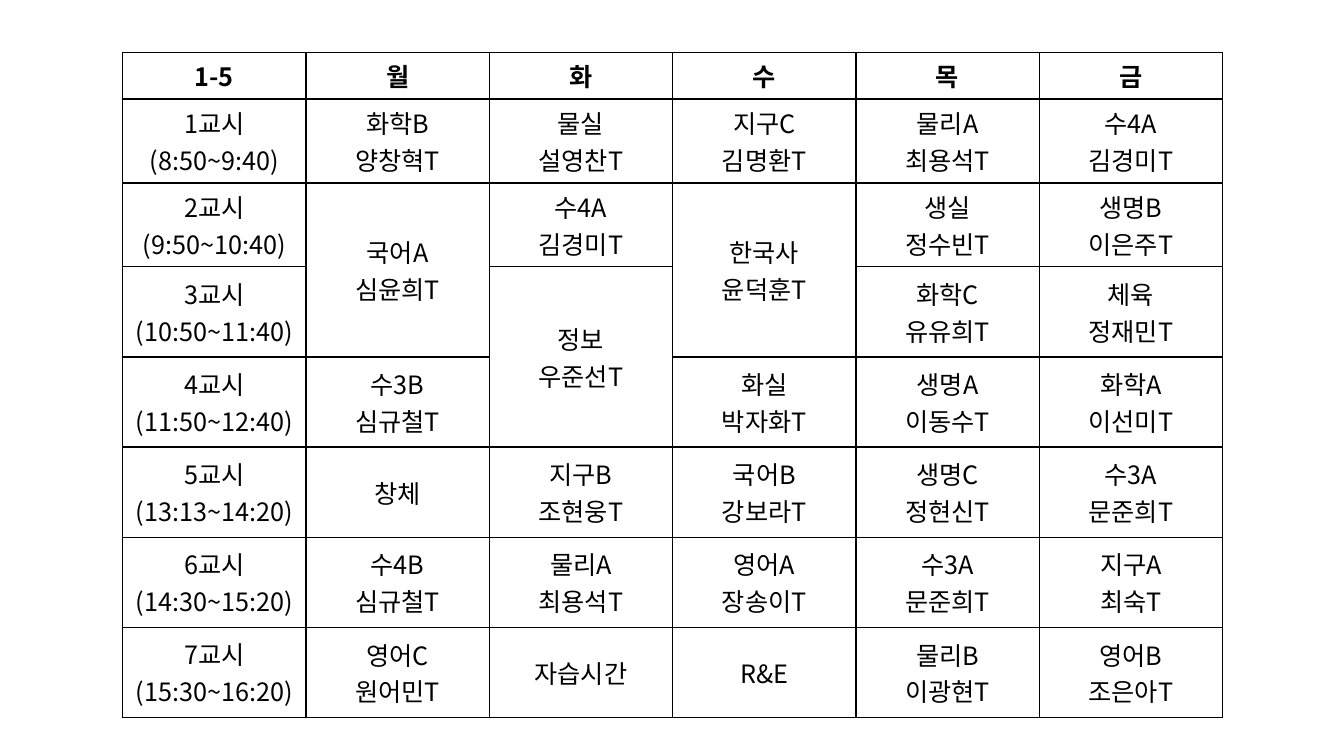
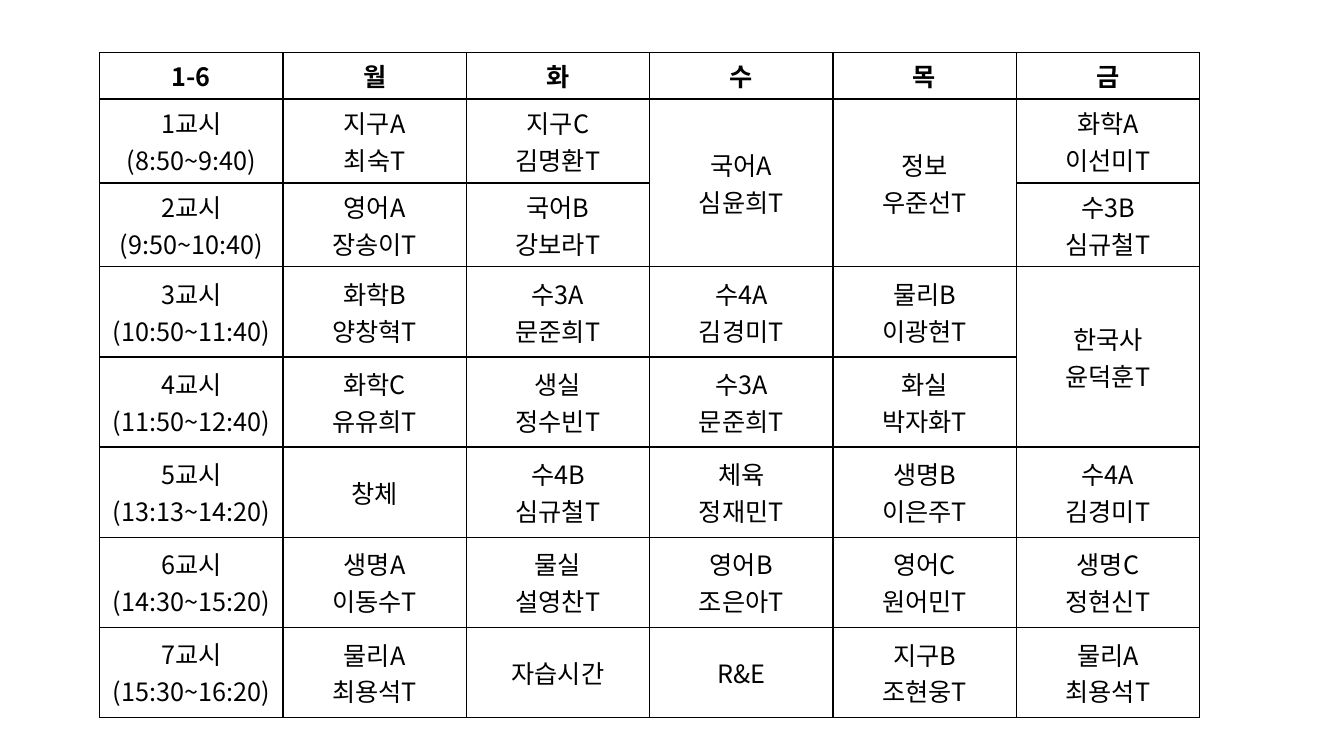
from dataclasses import dataclass

from lxml.etree import SubElement
from pptx import Presentation
from pptx.dml.color import RGBColor
from pptx.enum.text import MSO_ANCHOR, PP_ALIGN
from pptx.oxml.ns import qn
from pptx.util import Cm, Pt


@dataclass(frozen=True)
class Theme:
    ink: str = "000000"
    paper: str = "FFFFFF"
    font: str = "Noto Sans CJK KR"
    text_size: float = 18
    period_spacing: float = 0.3
    border_width: float = 1


DAYS = ["월", "화", "수", "목", "금"]
PERIODS = [
    "1교시 (8:50~9:40)",
    "2교시 (9:50~10:40)",
    "3교시 (10:50~11:40)",
    "4교시 (11:50~12:40)",
    "5교시 (13:13~14:20)",
    "6교시 (14:30~15:20)",
    "7교시 (15:30~16:20)",
]
CONTINUED = "^"
TABLE_TOP = 1.32
COLUMN_WIDTH = 4.62
ROW_HEIGHTS = [1.02, 1.93, 2.11] + [2.27] * 5

CLASS_5_LESSONS = [
    ["화학B 양창혁T", "물실 설영찬T", "지구C 김명환T", "물리A 최용석T", "수4A 김경미T"],
    ["국어A 심윤희T", "수4A 김경미T", "한국사 윤덕훈T", "생실 정수빈T", "생명B 이은주T"],
    [CONTINUED, "정보 우준선T", CONTINUED, "화학C 유유희T", "체육 정재민T"],
    ["수3B 심규철T", CONTINUED, "화실 박자화T", "생명A 이동수T", "화학A 이선미T"],
    ["창체", "지구B 조현웅T", "국어B 강보라T", "생명C 정현신T", "수3A 문준희T"],
    ["수4B 심규철T", "물리A 최용석T", "영어A 장송이T", "수3A 문준희T", "지구A 최숙T"],
    ["영어C 원어민T", "자습시간", "R&E", "물리B 이광현T", "영어B 조은아T"],
]
CLASS_6_LESSONS = [
    ["지구A 최숙T", "지구C 김명환T", "국어A 심윤희T", "정보 우준선T", "화학A 이선미T"],
    ["영어A 장송이T", "국어B 강보라T", CONTINUED, CONTINUED, "수3B 심규철T"],
    ["화학B 양창혁T", "수3A 문준희T", "수4A 김경미T", "물리B 이광현T", "한국사 윤덕훈T"],
    ["화학C 유유희T", "생실 정수빈T", "수3A 문준희T", "화실 박자화T", CONTINUED],
    ["창체", "수4B 심규철T", "체육 정재민T", "생명B 이은주T", "수4A 김경미T"],
    ["생명A 이동수T", "물실 설영찬T", "영어B 조은아T", "영어C 원어민T", "생명C 정현신T"],
    ["물리A 최용석T", "자습시간", "R&E", "지구B 조현웅T", "물리A 최용석T"],
]


class TimetableDeck:
    def __init__(self, theme):
        self.theme = theme
        self.deck = Presentation()
        self.deck.slide_width = Cm(33.87)
        self.deck.slide_height = Cm(19.05)
        self.slide = None

    def add_slide(self):
        self.slide = self.deck.slides.add_slide(self.deck.slide_layouts[6])
        background = self.slide.background.fill
        background.solid()
        background.fore_color.rgb = RGBColor.from_string(self.theme.paper)

    def add_timetable(self, left, class_name, lessons):
        entries = [[class_name, *DAYS]]
        entries += [[period, *row] for period, row in zip(PERIODS, lessons)]
        row_count, column_count = len(entries), len(entries[0])
        timetable = self.slide.shapes.add_table(
            row_count, column_count, Cm(left), Cm(TABLE_TOP),
            Cm(COLUMN_WIDTH * column_count), Cm(sum(ROW_HEIGHTS)),
        ).table
        timetable.first_row = False
        timetable.horz_banding = False
        for column in timetable.columns:
            column.width = Cm(COLUMN_WIDTH)
        for row, height in zip(timetable.rows, ROW_HEIGHTS):
            row.height = Cm(height)
        for r, row_entries in enumerate(entries):
            for c, entry in enumerate(row_entries):
                cell = timetable.cell(r, c)
                self.style_cell(cell)
                if entry == CONTINUED:
                    timetable.cell(r - 1, c).merge(cell)
                else:
                    spacing = self.theme.period_spacing if c == 0 else 0
                    self.write_cell(cell, entry, r == 0, spacing)

    def style_cell(self, cell):
        properties = cell._tc.get_or_add_tcPr()
        for side in ("a:lnL", "a:lnR", "a:lnT", "a:lnB"):
            border = SubElement(properties, qn(side), w=str(Pt(self.theme.border_width)))
            border_fill = SubElement(border, qn("a:solidFill"))
            SubElement(border_fill, qn("a:srgbClr"), val=self.theme.ink)
        cell.fill.solid()
        cell.fill.fore_color.rgb = RGBColor.from_string(self.theme.paper)
        cell.vertical_anchor = MSO_ANCHOR.MIDDLE

    def write_cell(self, cell, entry, bold, spacing):
        cell.text_frame.text = "\n".join(entry.split())
        for paragraph in cell.text_frame.paragraphs:
            paragraph.alignment = PP_ALIGN.CENTER
            paragraph.space_before = paragraph.space_after = Pt(spacing)
            for run in paragraph.runs:
                run.font.size = Pt(self.theme.text_size)
                run.font.bold = bold
                run.font.color.rgb = RGBColor.from_string(self.theme.ink)
                run.font.name = self.theme.font
                SubElement(run._r.get_or_add_rPr(), qn("a:ea"), typeface=self.theme.font)

    def save(self):
        self.deck.save("out.pptx")


def main():
    deck = TimetableDeck(Theme())
    for left, class_name, lessons in [
        (3.09, "1-5", CLASS_5_LESSONS),
        (2.51, "1-6", CLASS_6_LESSONS),
    ]:
        deck.add_slide()
        deck.add_timetable(left, class_name, lessons)
    deck.save()


if __name__ == "__main__":
    main()
